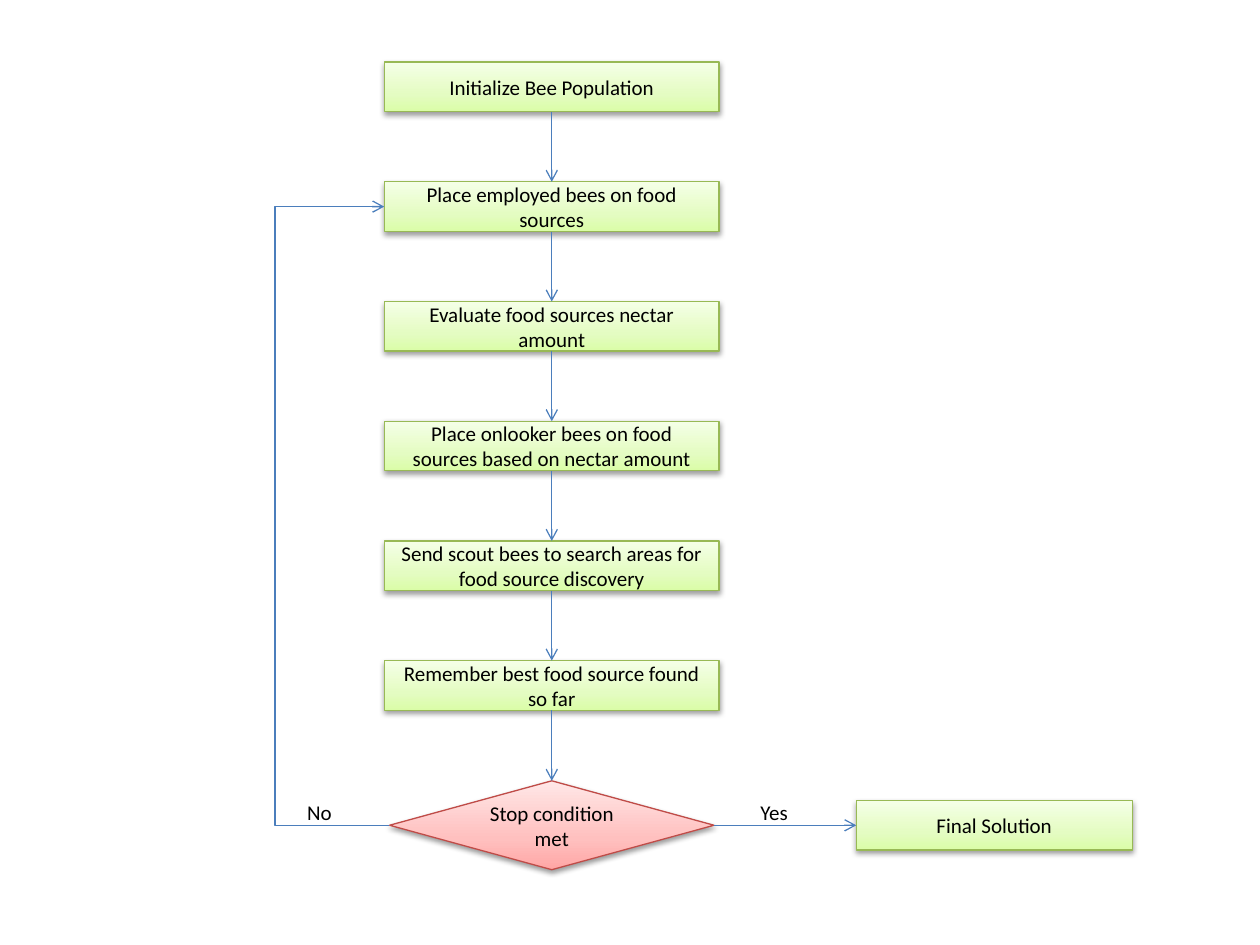
"""Build a flowchart slide of the artificial bee colony algorithm."""
import copy

import lxml.etree
import pptx
import pptx.dml.color
import pptx.enum.shapes
import pptx.enum.text
import pptx.oxml
import pptx.oxml.ns
import pptx.util

Pt = pptx.util.Pt
RGB = pptx.dml.color.RGBColor
qn = pptx.oxml.ns.qn
SHAPE = pptx.enum.shapes.MSO_SHAPE
CONNECTOR = pptx.enum.shapes.MSO_CONNECTOR
TOP, LEFT, BOTTOM, RIGHT = range(4)

COLORS = {
    "green": ["DAFDA7", "E4FCC2", "F5FFE7"],
    "green_line": "98B955",
    "red": ["FFA6A5", "FFC0BF", "FFE7E7"],
    "red_line": "BF4C48",
    "arrow": "4B7EBC",
    "text": "000000",
}
SHADOW = (
    f'<a:effectLst {pptx.oxml.ns.nsdecls("a")}>'
    '<a:outerShdw blurRad="39370" dist="20320" dir="5400000" rotWithShape="0">'
    '<a:srgbClr val="000000"><a:alpha val="38000"/></a:srgbClr>'
    "</a:outerShdw></a:effectLst>"
)
STEPS = [
    "Initialize Bee Population",
    "Place employed bees on food sources",
    "Evaluate food sources nectar amount",
    "Place onlooker bees on food sources based on nectar amount",
    "Send scout bees to search areas for food source discovery",
    "Remember best food source found so far",
]
STEP_LEFT, STEP_TOP, STEP_WIDTH, STEP_HEIGHT, STEP_PITCH = 219.6, 35.5, 191.4, 28.4, 68.4
CENTER = STEP_LEFT + STEP_WIDTH / 2
DECISION_WIDTH, DECISION_HEIGHT, DECISION_Y = 185.4, 50.8, 471.6
LOOP_X = 157.2


def add_node(text, kind, left, top, width, height, color):
    box = page.shapes.add_shape(kind, Pt(left), Pt(top), Pt(width), Pt(height))
    box.fill.gradient()
    box.fill.gradient_angle = 90
    stops = box._element.spPr.find(".//" + qn("a:gsLst"))
    stops.insert(1, copy.deepcopy(stops[0]))
    for stop, position, value in zip(box.fill.gradient_stops, (0, 0.35, 1), COLORS[color]):
        stop.position = position
        stop.color.rgb = RGB.from_string(value)
    box.line.color.rgb = RGB.from_string(COLORS[color + "_line"])
    box.line.width = Pt(0.75)
    box._element.spPr.append(pptx.oxml.parse_xml(SHADOW))
    frame = box.text_frame
    frame.word_wrap = True
    frame.vertical_anchor = pptx.enum.text.MSO_ANCHOR.MIDDLE
    frame.text = text
    frame.paragraphs[0].alignment = pptx.enum.text.PP_ALIGN.CENTER
    return box


def add_arrow(kind, start, start_side, end, end_side):
    arrow = page.shapes.add_connector(kind, 0, 0, 0, 0)
    arrow.begin_connect(start, start_side)
    arrow.end_connect(end, end_side)
    arrow.line.color.rgb = RGB.from_string(COLORS["arrow"])
    arrow.line.width = Pt(0.75)
    properties = arrow._element.spPr
    lxml.etree.SubElement(properties.find(qn("a:ln")), qn("a:tailEnd"), type="arrow")
    lxml.etree.SubElement(properties, qn("a:effectLst"))
    return arrow


deck = pptx.Presentation()
deck.slide_width, deck.slide_height = Pt(720), Pt(540)
page = deck.slides.add_slide(deck.slide_layouts[6])

steps = [
    add_node(text, SHAPE.RECTANGLE, STEP_LEFT, STEP_TOP + row * STEP_PITCH,
             STEP_WIDTH, STEP_HEIGHT, "green")
    for row, text in enumerate(STEPS)
]
decision = add_node("Stop condition met", SHAPE.FLOWCHART_DECISION, CENTER - DECISION_WIDTH / 2,
                    DECISION_Y - DECISION_HEIGHT / 2, DECISION_WIDTH, DECISION_HEIGHT, "red")
solution = add_node("Final Solution", SHAPE.RECTANGLE, 489.3, DECISION_Y - STEP_HEIGHT / 2,
                    157.7, STEP_HEIGHT, "green")

for upper, lower in zip(steps, steps[1:] + [decision]):
    add_arrow(CONNECTOR.STRAIGHT, upper, BOTTOM, lower, TOP)
add_arrow(CONNECTOR.STRAIGHT, decision, RIGHT, solution, LEFT)

loop = add_arrow(CONNECTOR.ELBOW, decision, LEFT, steps[1], LEFT)
bend = round((loop.begin_x - Pt(LOOP_X)) / loop.width * 100000)
guides = loop._element.spPr.find(qn("a:prstGeom")).get_or_add_avLst()
lxml.etree.SubElement(guides, qn("a:gd"), name="adj1", fmla=f"val {bend}")

for text, left, width in [("No", 168.5, 28.8), ("Yes", 427.5, 30.5)]:
    label = page.shapes.add_textbox(Pt(left), Pt(453.6), Pt(width), Pt(21.8))
    label.text_frame.word_wrap = False
    label.text_frame.auto_size = pptx.enum.text.MSO_AUTO_SIZE.SHAPE_TO_FIT_TEXT
    label.text_frame.text = text

for shape in page.shapes:
    if shape.has_text_frame:
        for span in shape.text_frame.paragraphs[0].runs:
            span.font.name = "Calibri"
            span.font.size = Pt(12)
            span.font.color.rgb = RGB.from_string(COLORS["text"])

deck.save("out.pptx")
